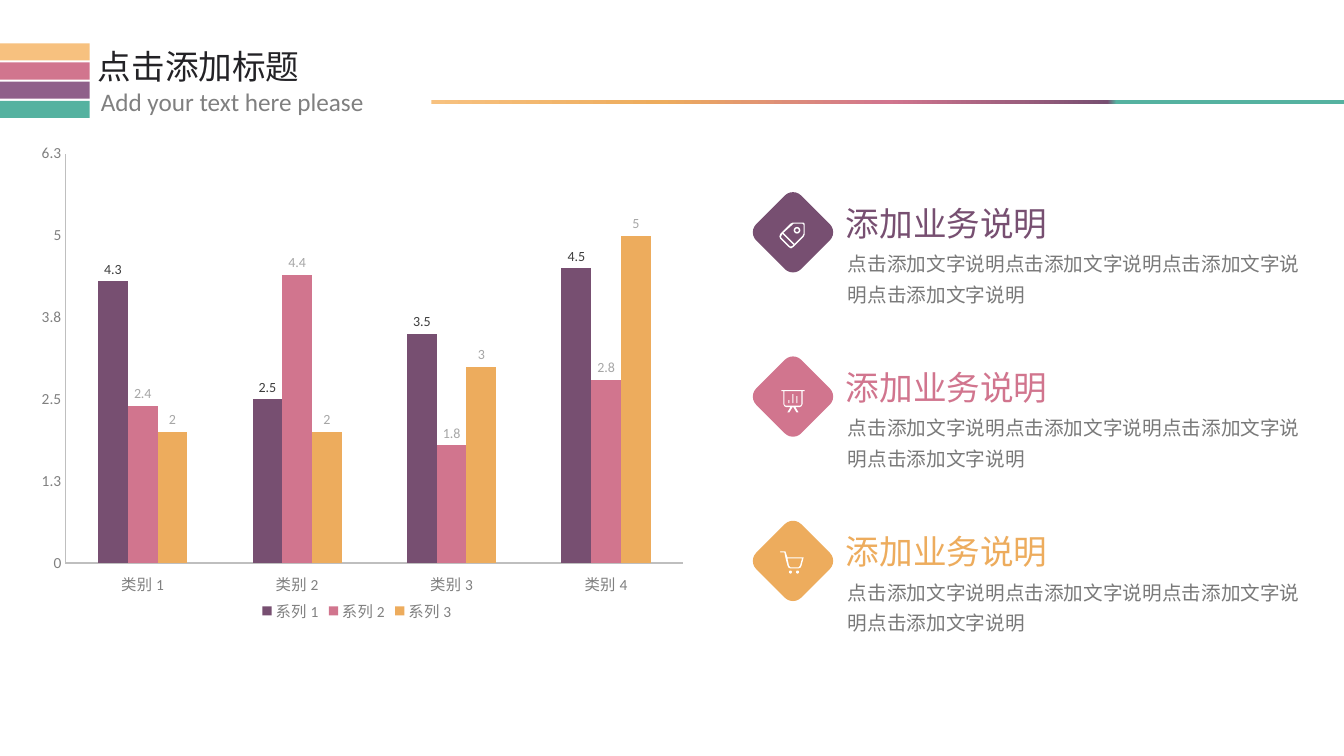
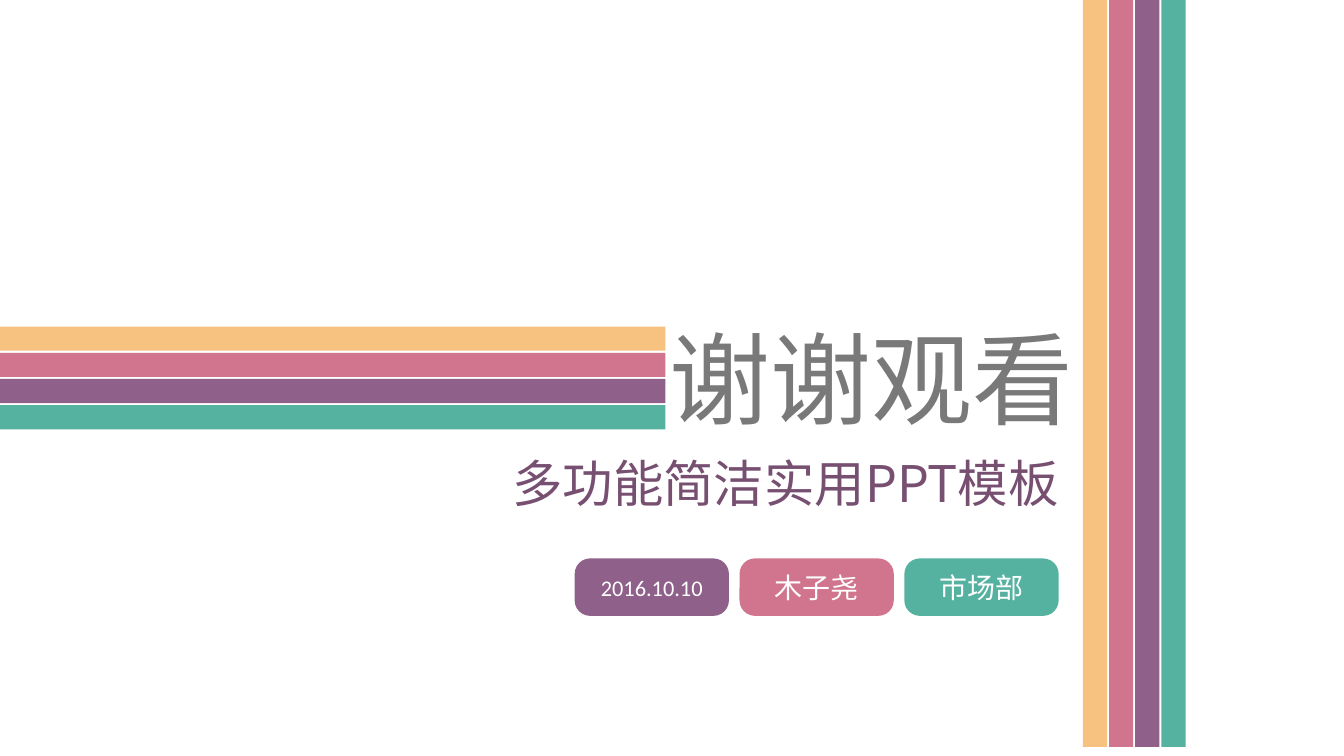
import math

from pptx import Presentation
from pptx.chart.data import CategoryChartData
from pptx.dml.color import RGBColor
from pptx.enum import chart as charts, shapes, text
from pptx.oxml import parse_xml
from pptx.oxml.ns import nsdecls, qn
from pptx.util import Inches, Pt

CJK, LATIN = "Noto Sans CJK SC", "Calibri"
SAND, ROSE, PLUM, TEAL = "F7C17F", "D1758E", "8F608A", "55B2A0"
DEEP_PLUM, AMBER = "774F71", "EDAC5D"
WHITE, INK, GREY, MID_GREY, AXIS_GREY = "FFFFFF", "232226", "797979", "808080", "BFBFBF"
STRIPES = [SAND, ROSE, PLUM, TEAL]
RULE_STOPS = [(0, SAND), (25, AMBER), (50, ROSE), (74, DEEP_PLUM), (75, TEAL), (100, TEAL)]
LEFT, CENTER, RIGHT = text.PP_ALIGN.LEFT, text.PP_ALIGN.CENTER, text.PP_ALIGN.RIGHT

CATEGORIES = ["类别 1", "类别 2", "类别 3", "类别 4"]
# name, values, bar colour, label colour, label format
SERIES = [
    ("系列 1", (4.3, 2.5, 3.5, 4.5), DEEP_PLUM, "3D3D3D", "0.#"),
    ("系列 2", (2.4, 4.4, 1.8, 2.8), ROSE, "A6A6A6", "0.#"),
    ("系列 3", (2, 2, 3, 5), AMBER, "A6A6A6", "0"),
]
PLOT = {"x": 0.058, "y": 0.038, "w": 0.937, "h": 0.834}


def circle(x, y, radius):
    angles = [math.tau * i / 16 for i in range(16)]
    return [(x + radius * math.cos(a), y + radius * math.sin(a)) for a in angles]


def bar(x, top):
    return [(x, top), (x + 1, top), (x + 1, 38), (x, 38)]


# Icon contours in hundredths of an inch from the corner of the badge
TAG = [
    circle(35.5, 29.5, 3.3), circle(35.5, 29.5, 1.8),
    [(42, 22), (31, 22), (29, 23), (19, 33), (18, 35.5), (19, 38), (27, 46), (29.5, 47.5),
     (32, 46), (42, 36), (43, 34), (43, 23)],
    [(31, 45), (29.5, 45.7), (28, 45), (20, 37), (19.5, 36), (20, 35), (21, 33), (32, 44)],
    [(42, 33), (41, 35), (33, 43), (22, 32), (31, 24), (32, 23), (41, 23), (42, 24)],
]
BOARD = [
    bar(27, 35), bar(31, 29), bar(35, 31),
    [(20, 25), (20, 26), (22, 26), (22, 39), (23, 41), (25, 42), (29, 42), (26, 47), (28, 47),
     (31, 42), (32, 42), (35, 47), (37, 47), (34, 42), (38, 42), (40, 41), (41, 39), (41, 26),
     (43, 26), (43, 25)],
    [(40, 39), (39.5, 40), (38, 40.5), (25, 40.5), (23.5, 40), (23, 39), (23, 26), (40, 26)],
]
CART = [
    [(26, 28), (24, 22), (19, 22), (18.5, 22.5), (19, 23), (23, 23), (24, 28), (26, 36),
     (27, 38), (29, 39), (37, 39), (39, 38), (40, 36), (42, 28)],
    [(38.5, 36), (37, 38), (29, 38), (27.5, 36), (26, 29), (40.5, 29)],
    circle(29, 42.5, 1.5), circle(36, 42.5, 1.5),
]
POINT_TITLE = "添加业务说明"
POINT_BODY = "点击添加文字说明" * 4
POINTS = [(DEEP_PLUM, TAG), (ROSE, BOARD), (AMBER, CART)]
LABELS = [("2016.10.10", PLUM, 16, LATIN), ("木子尧", ROSE, 20, CJK), ("市场部", TEAL, 20, CJK)]


def rgb(value):
    return RGBColor.from_string(value)


def style(font, size, color, name):
    font.size, font.name = Pt(size), name
    font.color.rgb = rgb(color)


def write(box, words, size, color, name=CJK, align=LEFT, anchor=text.MSO_ANCHOR.TOP, spacing=None):
    frame = box.text_frame
    frame.word_wrap, frame.auto_size = True, text.MSO_AUTO_SIZE.NONE
    frame.vertical_anchor = anchor
    frame.margin_left = frame.margin_right = frame.margin_top = frame.margin_bottom = Inches(0.05)
    frame.text = words
    para = frame.paragraphs[0]
    para.alignment, para.line_spacing = align, spacing
    style(para.font, size, color, name)
    east_asian = parse_xml(f'<a:ea {nsdecls("a")} typeface="{CJK}"/>')
    para.font._element.find(qn("a:latin")).addnext(east_asian)


def add_text(page, at, words, size, color, **options):
    box = page.shapes.add_textbox(*map(Inches, at))
    write(box, words, size, color, **options)


def paint(shape, color):
    shape.shadow.inherit = False
    shape.fill.solid()
    shape.fill.fore_color.rgb = rgb(color)
    shape.line.fill.background()


def add_block(page, at, color, corner=None):
    kind = shapes.MSO_SHAPE.ROUNDED_RECTANGLE if corner else shapes.MSO_SHAPE.RECTANGLE
    block = page.shapes.add_shape(kind, *map(Inches, at))
    if corner:
        block.adjustments[0] = corner
    paint(block, color)
    return block


def add_stripes(page, at, step_x=0, step_y=0):
    left, top, width, height = at
    for i, color in enumerate(STRIPES):
        add_block(page, (left + i * step_x, top + i * step_y, width, height), color)


def new_page(deck, title, at, size, color, align=LEFT):
    page = deck.slides.add_slide(deck.slide_layouts[5])
    box = page.shapes.title
    box.left, box.top, box.width, box.height = map(Inches, at)
    write(box, title, size, color, align=align)
    return page


def add_gradient_rule(page, at):
    rule = add_block(page, at, TEAL)
    rule.fill.gradient()
    rule.fill.gradient_angle = 0
    stops = rule._element.spPr.find(qn("a:gradFill")).find(qn("a:gsLst"))
    for stop in list(stops):
        stops.remove(stop)
    for percent, color in RULE_STOPS:
        stops.append(parse_xml(
            f'<a:gs {nsdecls("a")} pos="{percent * 1000}"><a:srgbClr val="{color}"/></a:gs>'))


def add_icon(page, left, top, contours):
    builder = None
    for contour in contours:
        points = [(Inches(left + x / 100), Inches(top + y / 100)) for x, y in contour]
        if builder is None:
            builder = page.shapes.build_freeform(*points[0])
        else:
            builder.move_to(*points[0])
        builder.add_line_segments(points[1:], close=True)
    paint(builder.convert_to_shape(), WHITE)


def set_plot_area(chart):
    sizes = "".join(f'<c:{key} val="{value}"/>' for key, value in PLOT.items())
    layout = parse_xml(
        f'<c:layout {nsdecls("c")}><c:manualLayout><c:layoutTarget val="inner"/>'
        f'<c:xMode val="edge"/><c:yMode val="edge"/>{sizes}</c:manualLayout></c:layout>')
    area = chart._chartSpace.chart.plotArea
    for old in area.findall(qn("c:layout")):
        area.remove(old)
    area.insert(0, layout)


def add_column_chart(page, at):
    data = CategoryChartData()
    data.categories = CATEGORIES
    for name, values, *_ in SERIES:
        data.add_series(name, values)
    chart = page.shapes.add_chart(
        charts.XL_CHART_TYPE.COLUMN_CLUSTERED, *map(Inches, at), data).chart
    chart.has_title = False
    style(chart.font, 11, MID_GREY, LATIN)
    chart.has_legend = True
    chart.legend.position = charts.XL_LEGEND_POSITION.BOTTOM
    chart.legend.include_in_layout = True
    style(chart.legend.font, 11, MID_GREY, LATIN)

    for axis in (chart.category_axis, chart.value_axis):
        axis.has_major_gridlines = False
        axis.major_tick_mark = axis.minor_tick_mark = charts.XL_TICK_MARK.NONE
        axis.format.line.color.rgb = rgb(AXIS_GREY)
        axis.format.line.width = Pt(1)
        style(axis.tick_labels.font, 11, MID_GREY, LATIN)
    chart.category_axis.tick_label_position = charts.XL_TICK_LABEL_POSITION.LOW
    values = chart.value_axis
    values.minimum_scale, values.maximum_scale, values.major_unit = 0, 6.25, 1.25
    values.tick_labels.number_format = "0.#"
    values.tick_labels.number_format_is_linked = False

    plot = chart.plots[0]
    plot.gap_width, plot.overlap, plot.vary_by_categories = 219, 0, False
    for series, (_, _, color, label_color, number_format) in zip(plot.series, SERIES):
        series.format.fill.solid()
        series.format.fill.fore_color.rgb = rgb(color)
        labels = series.data_labels
        labels.show_value = True
        labels.position = charts.XL_LABEL_POSITION.OUTSIDE_END
        labels.number_format, labels.number_format_is_linked = number_format, False
        style(labels.font, 10, label_color, LATIN)
    set_plot_area(chart)


def build_chart_page(deck):
    page = new_page(deck, "点击添加标题", (0.92, 0.41, 2.26, 0.56), 24, INK)
    add_stripes(page, (0, 0.43, 0.89, 0.17), step_y=0.19)
    add_text(page, (0.95, 0.81, 3.57, 0.41), "Add your text here please", 18, MID_GREY, name=LATIN)
    add_gradient_rule(page, (4.28, 0.99, 9.06, 0.04))
    add_column_chart(page, (0.27, 1.34, 6.54, 4.87))
    for i, (color, icon) in enumerate(POINTS):
        top = 1.96 + i * 1.63
        badge = add_block(page, (7.55, top + 0.03, 0.63, 0.63), color, corner=0.18)
        badge.rotation = 45
        add_icon(page, 7.55, top + 0.03, icon)
        add_text(page, (8.34, top, 2.53, 0.56), POINT_TITLE, 24, color)
        add_text(page, (8.36, top + 0.42, 4.59, 0.74), POINT_BODY, 14, GREY, spacing=1.3)


def build_closing_page(deck):
    page = new_page(deck, "谢谢观看", (6.4, 3.09, 4.49, 1.49), 72, GREY, align=CENTER)
    add_stripes(page, (0, 3.24, 6.6, 0.24), step_y=0.26)
    add_stripes(page, (10.74, 0, 0.24, 7.41), step_x=0.26)
    add_text(page, (4.69, 4.44, 5.86, 0.79), "多功能简洁实用PPT模板", 36, DEEP_PLUM, align=RIGHT)
    for i, (words, color, size, name) in enumerate(LABELS):
        label = add_block(page, (5.7 + i * 1.635, 5.54, 1.53, 0.57), color, corner=0.27)
        write(label, words, size, WHITE, name=name, align=CENTER, anchor=text.MSO_ANCHOR.MIDDLE)


def main():
    deck = Presentation()
    deck.slide_width, deck.slide_height = Inches(13.33), Inches(7.5)
    build_chart_page(deck)
    build_closing_page(deck)
    deck.save("out.pptx")


if __name__ == "__main__":
    main()
